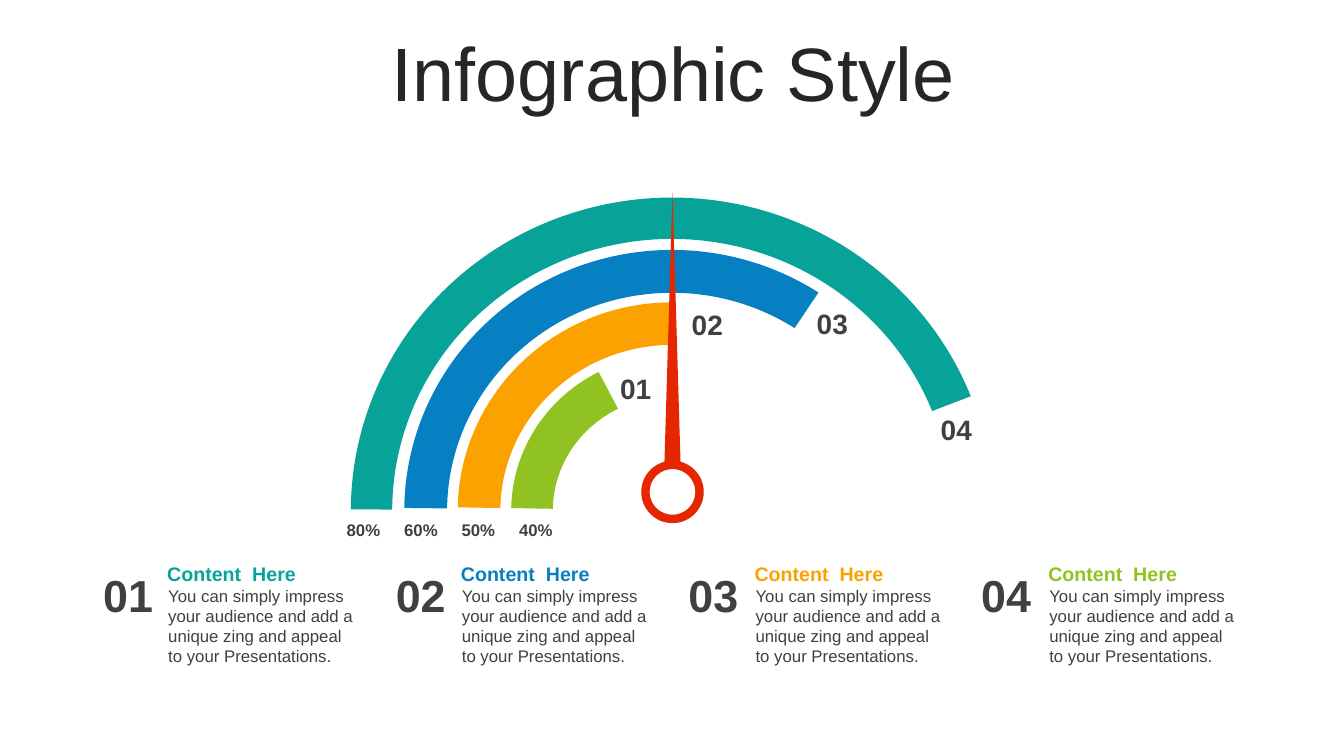
import pptx
import pptx.dml.color
import pptx.enum.shapes
import pptx.enum.text
import pptx.util

Inches = pptx.util.Inches
RGBColor = pptx.dml.color.RGBColor
Shape = pptx.enum.shapes.MSO_SHAPE
Align = pptx.enum.text.PP_ALIGN
Anchor = pptx.enum.text.MSO_ANCHOR
AutoSize = pptx.enum.text.MSO_AUTO_SIZE

TEAL = RGBColor(0x07, 0xA3, 0x98)
BLUE = RGBColor(0x06, 0x80, 0xC3)
ORANGE = RGBColor(0xFB, 0xA2, 0x00)
GREEN = RGBColor(0x90, 0xC2, 0x21)
RED = RGBColor(0xE6, 0x26, 0x01)
WHITE = RGBColor(0xFF, 0xFF, 0xFF)
BLACK = RGBColor(0x26, 0x26, 0x26)
GRAY = RGBColor(0x40, 0x40, 0x40)

ADJUSTMENT_PER_DEGREE = 0.6
CARD_TEXT = ("You can simply impress your audience and add a unique zing "
             "and appeal to your Presentations.")
RINGS = [
    (TEAL, 180.3, 338.98, 0.066, "80%"),
    (BLUE, 180.66, 303.83, 0.082, "60%"),
    (ORANGE, 180.98, 269.89, 0.102, "50%"),
    (GREEN, 181.06, 242.17, 0.133, "40%"),
]
RING_NUMBERS = [("04", 9.21, 4.04), ("03", 7.98, 2.99),
                ("02", 6.74, 3), ("01", 6.03, 3.64)]


def style_paragraph(paragraph, size, color, bold=False, align=Align.LEFT):
    paragraph.alignment = align
    paragraph.font.name = "Arial"
    paragraph.font.size = pptx.util.Pt(size)
    paragraph.font.bold = bold
    paragraph.font.color.rgb = color


def add_title(slide, text):
    title = slide.shapes.title
    title.left, title.top = Inches(0.35), Inches(0.37)
    title.width, title.height = Inches(12.66), Inches(0.79)
    frame = title.text_frame
    frame.text = text
    frame.auto_size = AutoSize.NONE
    frame.vertical_anchor = Anchor.MIDDLE
    heading = frame.paragraphs[0]
    style_paragraph(heading, 54, BLACK, align=Align.CENTER)
    heading.line_spacing = 0.9
    heading.space_before = pptx.util.Pt(10)


def add_label(shapes, text, left, top, width, height, size, color=GRAY,
              bold=True, align=Align.CENTER, anchor=Anchor.TOP):
    label = shapes.add_textbox(Inches(left), Inches(top),
                               Inches(width), Inches(height))
    frame = label.text_frame
    frame.text = text
    frame.word_wrap = True
    frame.auto_size = AutoSize.SHAPE_TO_FIT_TEXT
    frame.vertical_anchor = anchor
    style_paragraph(frame.paragraphs[0], size, color, bold, align)


def add_solid(shapes, kind, left, top, width, height, color, adjustments=()):
    solid = shapes.add_shape(kind, Inches(left), Inches(top),
                             Inches(width), Inches(height))
    for index, value in enumerate(adjustments):
        solid.adjustments[index] = value
    solid.shadow.inherit = False
    solid.fill.solid()
    solid.fill.fore_color.rgb = color
    solid.line.fill.background()


def add_rings(shapes):
    rings = shapes.add_group_shape().shapes
    for i, (color, start, end, thickness, percent) in enumerate(RINGS):
        add_solid(rings, Shape.BLOCK_ARC, 3.48 + 0.53 * i, 1.96 + 0.52 * i,
                  6.37 - 1.06 * i, 6.22 - 1.04 * i, color,
                  (start * ADJUSTMENT_PER_DEGREE,
                   end * ADJUSTMENT_PER_DEGREE, thickness))
        add_label(shapes, percent, 3.22 + 0.57 * i, 5.11, 0.77, 0.3, 12,
                  anchor=Anchor.MIDDLE)
    for number, left, top in RING_NUMBERS:
        add_label(shapes, number, left, top, 0.55, 0.44, 20)


def add_needle(shapes):
    add_solid(shapes, Shape.DONUT, 6.17, 4.38, 1, 1, WHITE, (0.083,))
    add_solid(shapes, Shape.DONUT, 6.36, 4.57, 0.62, 0.62, RED, (0.135,))
    add_solid(shapes, Shape.ISOSCELES_TRIANGLE, 6.59, 1.91, 0.16, 2.68, RED)


def add_card(shapes, index, color):
    left = 1.56 + 2.913 * index
    card = shapes.add_group_shape().shapes
    add_label(card, "Content  Here", left, 5.52, 2.06, 0.34, 14, color,
              align=Align.LEFT, anchor=Anchor.MIDDLE)
    add_label(card, CARD_TEXT, left + 0.01, 5.76, 2.06, 0.91, 12,
              bold=False, align=Align.LEFT)
    add_label(shapes, f"{index + 1:02}", 0.85 + 2.903 * index, 5.58,
              0.84, 0.64, 32)


def main():
    deck = pptx.Presentation()
    deck.slide_width, deck.slide_height = Inches(13.33), Inches(7.5)
    slide = deck.slides.add_slide(deck.slide_layouts[5])
    add_title(slide, "Infographic Style")
    add_rings(slide.shapes)
    add_needle(slide.shapes)
    for index, ring in enumerate(RINGS):
        add_card(slide.shapes, index, ring[0])
    deck.save("out.pptx")


if __name__ == "__main__":
    main()
